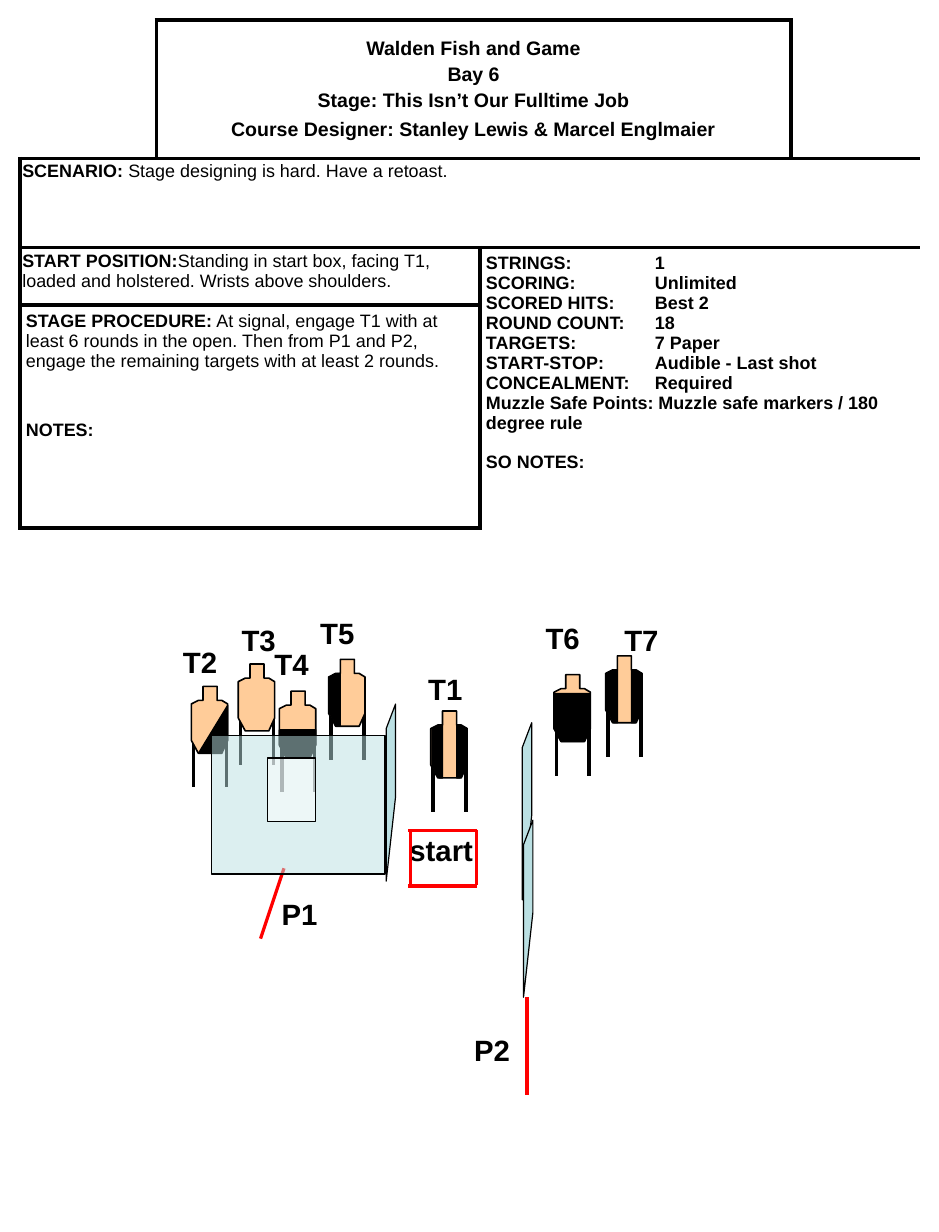
from dataclasses import dataclass

from lxml import etree
from pptx import Presentation
from pptx import util as u
from pptx.dml.color import RGBColor
from pptx.enum import shapes, text
from pptx.oxml import ns

BLACK, WHITE, RED, CARD, GLASS = "000000", "FFFFFF", "FF0000", "FFCC99", "BBE0E3"
Points = list[tuple[float, float]]

# Outlines relative to the top left of a target or side wall, in inches
BODY: Points = [(.1, 0), (.22, 0), (.22, .12), (.26, .12), (.31, .15), (.31, .46),
                (.26, .57), (.06, .57), (0, .46), (0, .15), (.06, .12), (.1, .12)]
LEFT: Points = [(.1, .12), (.1, .57), (.07, .57), (.01, .46), (.01, .15), (.07, .12)]
RIGHT: Points = [(.22, .12), (.22, .57), (.25, .57), (.31, .46), (.31, .15), (.25, .12)]
DIAGONAL: Points = [(.31, .16), (.31, .46), (.25, .57), (.06, .57)]
SIDE_WALL: Points = [(.08, .79), (0, 1.51), (0, .21), (.08, 0)]


def lower(top: float) -> Points:
    return [(0, top), (.31, top), (.31, .46), (.25, .57), (.06, .57), (0, .46)]


@dataclass
class Para:
    runs: list[tuple[str, bool]]
    before: float = 0
    spacing: float | None = None
    tab: float | None = None


@dataclass
class Region:
    row: int
    col: int
    rows: int = 1
    cols: int = 1
    paras: tuple[Para, ...] = ()
    sides: str = "LRTB"
    inset: tuple[float, float] = (.05, .05)
    size: float = 11
    centred: bool = False


@dataclass
class Target:
    x: float
    y: float
    hard_cover: tuple[Points, ...] = ()


@dataclass
class Label:
    text: str
    x: float
    y: float
    width: float = .58


def rgb(value: str) -> RGBColor:
    return RGBColor.from_string(value)


def paint(shape, fill: str, width: float, alpha: int | None = None) -> None:
    shape.shadow.inherit = False
    shape.fill.solid()
    shape.fill.fore_color.rgb = rgb(fill)
    if alpha is not None:
        colour = shape.fill._xPr.find(".//" + ns.qn("a:srgbClr"))
        etree.SubElement(colour, ns.qn("a:alpha"), val=str(alpha * 1000))
    shape.line.color.rgb = rgb(BLACK)
    shape.line.width = u.Pt(width)


def add_line(parent, x1: float, y1: float, x2: float, y2: float,
             colour: str = RED, width: float = 2) -> None:
    line = parent.add_connector(shapes.MSO_CONNECTOR.STRAIGHT,
                                *map(u.Inches, (x1, y1, x2, y2)))
    line.line.color.rgb = rgb(colour)
    line.line.width = u.Pt(width)
    etree.SubElement(line._element.spPr, ns.qn("a:effectLst"))


def add_outline(parent, x: float, y: float, points: Points, fill: str, width: float) -> None:
    corners = [(u.Inches(x + dx), u.Inches(y + dy)) for dx, dy in points]
    builder = parent.build_freeform(*corners[0])
    builder.add_line_segments(corners[1:], close=True)
    paint(builder.convert_to_shape(), fill, width)


def add_target(parent, target: Target) -> None:
    group = parent.add_group_shape().shapes
    for dx in (.02, .3):
        leg = target.x + dx
        add_line(group, leg, target.y + .43, leg, target.y + .86, BLACK, 2.25)
    add_outline(group, target.x, target.y, BODY, CARD, 1)
    for cover in target.hard_cover:
        add_outline(group, target.x, target.y, cover, BLACK, 0)


def add_pane(parent, box: tuple[float, ...], fill: str) -> None:
    pane = parent.add_shape(shapes.MSO_SHAPE.RECTANGLE, *map(u.Inches, box))
    paint(pane, fill, .75, alpha=50)


def add_run(paragraph, words: str, size: float, bold: bool) -> None:
    run = paragraph.add_run()
    run.text = words
    run.font.name, run.font.size, run.font.bold = "Arial", u.Pt(size), bold
    run.font.color.rgb = rgb(BLACK)


def add_label(parent, label: Label) -> None:
    box = parent.add_textbox(*map(u.Inches, (label.x, label.y, label.width, .4)))
    box.text_frame.word_wrap = True
    add_run(box.text_frame.paragraphs[0], label.text, 18, True)


def set_borders(cell, sides: str) -> None:
    props = cell._tc.get_or_add_tcPr()
    for side in "LRTB":
        line = etree.SubElement(props, ns.qn("a:ln" + side), w=str(u.Pt(2.25)))
        if side in sides:
            fill = etree.SubElement(line, ns.qn("a:solidFill"))
            etree.SubElement(fill, ns.qn("a:srgbClr"), val=BLACK)
        else:
            etree.SubElement(line, ns.qn("a:noFill"))


def fill_region(table, region: Region) -> None:
    last_row, last_col = region.row + region.rows - 1, region.col + region.cols - 1
    for row in range(region.row, last_row + 1):
        for col in range(region.col, last_col + 1):
            edges = {"L": col == region.col, "R": col == last_col,
                     "T": row == region.row, "B": row == last_row}
            cell = table.cell(row, col)
            set_borders(cell, "".join(s for s in region.sides if edges[s]))
            cell.fill.solid()
            cell.fill.fore_color.rgb = rgb(WHITE)
    cell = table.cell(region.row, region.col)
    if (region.rows, region.cols) != (1, 1):
        cell.merge(table.cell(last_row, last_col))
    cell.margin_left = cell.margin_right = u.Inches(region.inset[0])
    cell.margin_top = cell.margin_bottom = u.Inches(region.inset[1])
    if region.centred:
        cell.vertical_anchor = text.MSO_ANCHOR.MIDDLE
    for i, para in enumerate(region.paras):
        frame = cell.text_frame
        p = frame.add_paragraph() if i else frame.paragraphs[0]
        if para.tab:
            tabs = etree.SubElement(p._p.get_or_add_pPr(), ns.qn("a:tabLst"))
            etree.SubElement(tabs, ns.qn("a:tab"), pos=str(u.Inches(para.tab)), algn="l")
        if para.before:
            p.space_before = u.Pt(para.before)
        if para.spacing:
            p.line_spacing = para.spacing
        if region.centred:
            p.alignment = text.PP_ALIGN.CENTER
        for words, bold in para.runs:
            add_run(p, words, region.size, bold)


FACTS = [("STRINGS:", "1"), ("SCORING:", "Unlimited"), ("SCORED HITS:", "Best 2"),
         ("ROUND COUNT:", "18"), ("TARGETS:", "7 Paper"),
         ("START-STOP:", "Audible - Last shot"), ("CONCEALMENT:", "Required")]

REGIONS = [
    Region(0, 0, sides="RB"),
    Region(0, 1, cols=2, size=12, centred=True, paras=(
        Para([("Walden Fish and Game", True)]),
        Para([("Bay 6", True)], 2.4),
        Para([("Stage: This Isn’t Our Fulltime Job", True)], 2.4),
        Para([("Course Designer: Stanley Lewis & Marcel Englmaier", True)], 4.2))),
    Region(0, 3, sides="LB"),
    Region(1, 0, cols=4, inset=(.02, .04), paras=(
        Para([("SCENARIO: ", True), ("Stage designing is hard. Have a retoast.", False)],
             spacing=.9),)),
    Region(2, 0, cols=2, inset=(.02, .03), paras=(
        Para([("START POSITION:", True),
              ("Standing in start box, facing T1, loaded and holstered. "
               "Wrists above shoulders.", False)]),)),
    Region(2, 2, rows=2, cols=2, paras=(
        *(Para([(f"{name}\t{value}", True)], tab=1.44) for name, value in FACTS),
        Para([("Muzzle Safe Points: Muzzle safe markers / 180 degree rule", True)]),
        Para([("SO NOTES:", True)], 12))),
    Region(3, 0, cols=2, paras=(
        Para([("STAGE PROCEDURE:", True),
              (" At signal, engage T1 with at least 6 rounds in the open. Then from P1 and "
               "P2, engage the remaining targets with at least 2 rounds.", False)]),
        Para([("NOTES:", True)], 30.7))),
]
TARGETS = [Target(2.03, 5.66), Target(3.67, 6.06, (RIGHT, LEFT)),
           Target(2.38, 5.89, (lower(.33),)), Target(4.72, 5.75, (lower(.16),)),
           Target(1.63, 5.85, (DIAGONAL,)), Target(2.8, 5.62, (LEFT,)),
           Target(5.16, 5.59, (RIGHT, LEFT))]
LABELS = [Label("P1", 2.3, 7.59), Label("T1", 3.55, 5.67), Label("P2", 3.94, 8.75),
          Label("T2", 1.46, 5.44), Label("T3", 1.96, 5.25), Label("T4", 2.24, 5.46),
          Label("T5", 2.63, 5.19), Label("T6", 4.55, 5.24), Label("T7", 5.22, 5.25)]


def main() -> None:
    deck = Presentation()
    deck.slide_width, deck.slide_height = u.Inches(8), u.Inches(10.5)
    stage = deck.slides.add_slide(deck.slide_layouts[6]).shapes

    # Stage description
    table = stage.add_table(4, 4, *map(u.Inches, (.17, .17, 7.67, 4.33))).table
    table.first_row = table.horz_banding = False
    for column, width in zip(table.columns, (1.16, 2.76, 2.65, 1.1)):
        column.width = u.Inches(width)
    for row, height in zip(table.rows, (1.18, .76, .49, 1.9)):
        row.height = u.Inches(height)
    for region in REGIONS:
        fill_region(table, region)

    # Shooting positions and labels
    add_line(stage, 2.22, 8, 2.42, 7.4)
    add_line(stage, 4.49, 9.33, 4.49, 8.5)
    for label in LABELS:
        add_label(stage, label)

    # Start box
    start = stage.add_group_shape().shapes
    add_label(start, Label("start", 3.39, 7.04, .76))
    for y in (7.08, 7.55):
        add_line(start, 4.06, y, 3.48, y)
    for x in (3.5, 4.06):
        add_line(start, x, 7.07, x, 7.54)

    # Targets, then the walls in front of them
    for target in TARGETS:
        add_target(stage, target)
    for x, y in ((3.29, 6), (4.45, 6.16), (4.46, 6.99)):
        add_outline(stage, x, y, SIDE_WALL, GLASS, .75)
    window_wall = stage.add_group_shape().shapes
    add_pane(window_wall, (1.8, 6.27, 1.48, 1.18), GLASS)
    add_pane(window_wall, (2.28, 6.46, .41, .54), WHITE)

    deck.save("out.pptx")


if __name__ == "__main__":
    main()
